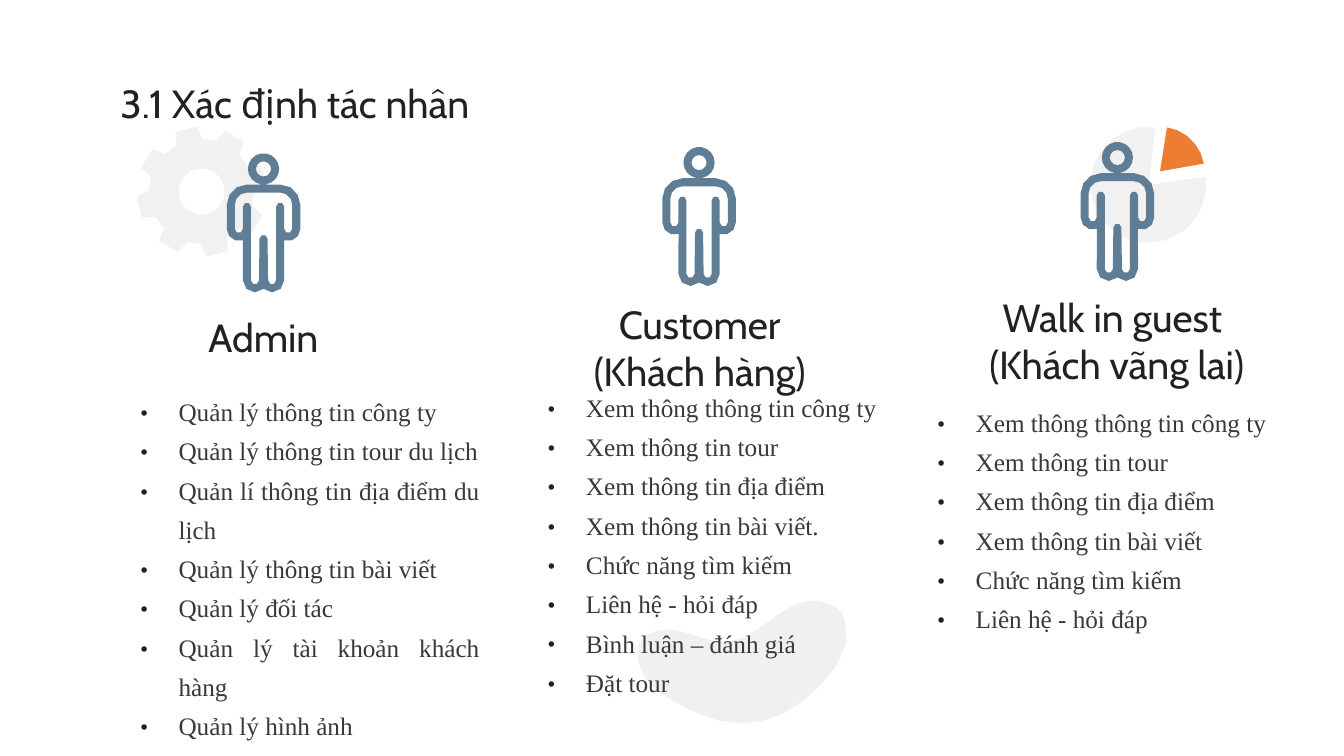
"""Build the slide of the three actors and what each may do."""
from dataclasses import dataclass
from math import ceil, cos, radians, sin

from lxml.etree import SubElement
from pptx import Presentation
from pptx.dml.color import RGBColor
from pptx.enum.text import MSO_ANCHOR, PP_ALIGN
from pptx.oxml.ns import qn
from pptx.util import Inches, Pt

Point = tuple[float, float]
Curve = list[Point]

COLS, ROWS = 160, 90
CELL = Inches(7.5) / ROWS
UNIT = 0.12
DARK, GREY, ORANGE, STEEL = "212121", "E0E0E0", "ED7D31", "5F7D95"

HEAD = {"size": Pt(28), "name": "Cabin"}
ITEM = {"size": Pt(18), "name": "Times New Roman"}
CENTER = {"alignment": PP_ALIGN.CENTER}
JUSTIFY = {"alignment": PP_ALIGN.JUSTIFY, "line_spacing": 1.3}


@dataclass
class Box:
    left: float
    top: float
    width: float
    height: float


@dataclass
class Actor:
    name: list[str]
    label: Box
    icon: Point
    tasks: list[str]
    area: Box


ACTORS = [
    Actor(["Admin"], Box(19.3, 36.7, 24.1, 6.7), (27, 18.25),
          ["Quản lý thông tin công ty", "Quản lý thông tin tour du lịch",
           "Quản lí thông tin địa điểm du lịch", "Quản lý thông tin bài viết",
           "Quản lý đối tác", "Quản lý tài khoản khách hàng",
           "Quản lý hình ảnh"],
          Box(16.7, 44.9, 40.4, 40.9)),
    Actor(["Customer", "(Khách hàng)"], Box(66.5, 36.85, 33.6, 9),
          (78.85, 17.5),
          ["Xem thông thông tin công ty", "Xem thông tin tour",
           "Xem thông tin địa điểm", "Xem thông tin bài viết.",
           "Chức năng tìm kiếm", "Liên hệ - hỏi đáp",
           "Bình luận – đánh giá", "Đặt tour"],
          Box(65.2, 44.4, 40.4, 40.9)),
    Actor(["Walk in guest ", "(Khách vãng lai)"], Box(111.6, 36, 42.7, 9),
          (128.65, 16.9),
          ["Xem thông thông tin công ty", "Xem thông tin tour",
           "Xem thông tin địa điểm", "Xem thông tin bài viết",
           "Chức năng tìm kiếm", "Liên hệ - hỏi đáp"],
          Box(111.6, 46.2, 41.4, 40.9)),
]

BLOB = [(186, 2), (179, 0), (172, 0), (166, 1), (151, 4), (139, 14), (128, 22),
        (116, 31), (103, 40), (88, 41), (77, 42), (60, 35), (44, 31),
        (27, 26), (7, 29), (1, 43), (-5, 61), (7, 80), (19, 89),
        (37, 102), (58, 113), (80, 119), (109, 126), (139, 119), (162, 101),
        (185, 83), (218, 49), (205, 18), (203, 10), (195, 5), (186, 2)]


def paint(text: str) -> RGBColor:
    return RGBColor.from_string(text)


def apply(target: object, values: dict) -> None:
    for key, value in values.items():
        setattr(target, key, value)


def arc(x: float, y: float, r: float, start: float, end: float,
        step: float = 30) -> Curve:
    count = ceil(abs(end - start) / step)
    turns = [radians(start + (end - start) * i / count)
             for i in range(count + 1)]
    return [(x + r * cos(t), y + r * sin(t)) for t in turns]


def ring(x: float, y: float, r: float) -> Curve:
    return arc(x, y, r, 0, 340, 20)


def bend(knots: Curve) -> Curve:
    out, steps = [knots[0]], 4
    for i in range(0, len(knots) - 1, 3):
        for j in range(1, steps + 1):
            t = j / steps
            parts = ((1 - t) ** 3, 3 * t * (1 - t) ** 2,
                     3 * t * t * (1 - t), t ** 3)
            out.append(tuple(sum(p * k[n] for p, k in zip(parts, knots[i:i + 4]))
                             for n in (0, 1)))
    return out


def mirror(half: Curve, axis: float) -> Curve:
    return half + [(2 * axis - x, y) for x, y in reversed(half)]


def place(curve: Curve, at: Point) -> Curve:
    return [(at[0] + x * UNIT, at[1] + y * UNIT) for x, y in curve]


def person(at: Point) -> list[Curve]:
    mid = 36.5
    outer = (arc(53, 51, 20, -90, 0) + arc(61, 75, 12, 0, 110, 40)
             + arc(45, 126, 12, 0, 135, 45))
    inner = (arc(53, 51, 12, -90, 0) + arc(61, 75, 4, 0, 180, 60)
             + arc(53, 53, 4, 0, -180, 60) + arc(45, 126, 4, 0, 180, 60)
             + arc(mid, 85, 4, 0, -60, 60))
    parts = [ring(mid, 15.5, 15.5), arc(mid, 15.5, 7.5, 0, 330),
             mirror(outer, mid), mirror(inner, mid)]
    return [place(part, at) for part in parts]


def gear(x: float, y: float) -> list[Curve]:
    teeth = []
    for i in range(8):
        for r, turn in ((6.25, -15), (7.75, -9.5), (7.75, 9.5), (6.25, 15)):
            a = radians(45 * i - 14 + turn)
            teeth.append((x + r * cos(a), y + r * sin(a)))
    return [teeth, ring(x, y, 2.75)]


def draw(slide, curves: list[Curve], color: str, alpha: int = 100) -> None:
    form = None
    for curve in curves:
        dots = [(x * CELL, y * CELL) for x, y in curve]
        if form is None:
            form = slide.shapes.build_freeform(*dots[0], scale=1.0)
        else:
            form.move_to(*dots[0])
        form.add_line_segments(dots[1:], close=True)
    shape = form.convert_to_shape()
    shape.shadow.inherit = False
    shape.line.fill.background()
    shape.fill.solid()
    shape.fill.fore_color.rgb = paint(color)
    if alpha < 100:
        fill = shape._element.spPr.find(qn("a:solidFill"))
        SubElement(fill[0], qn("a:alpha"), val=str(alpha * 1000))


def bullet(para) -> None:
    props = para._p.get_or_add_pPr()
    props.set("marL", str(Inches(0.38)))
    props.set("indent", str(-Inches(0.38)))
    tone = SubElement(props, qn("a:buClr"))
    SubElement(tone, qn("a:srgbClr"), val=DARK)
    SubElement(props, qn("a:buFont"), typeface="Cabin")
    SubElement(props, qn("a:buChar"), char="•")


def write(slide, box: Box, lines: list[str], font: dict, style: dict,
          color: str, pad: float, anchor=MSO_ANCHOR.TOP,
          dots: bool = False) -> None:
    spans = (box.left, box.top, box.width, box.height)
    frame = slide.shapes.add_textbox(*(round(n * CELL) for n in spans)).text_frame
    apply(frame, {"word_wrap": True, "vertical_anchor": anchor,
                  "margin_left": 0, "margin_right": 0,
                  "margin_top": Inches(pad), "margin_bottom": Inches(pad)})
    for i, line in enumerate(lines):
        para = frame.add_paragraph() if i else frame.paragraphs[0]
        if dots:
            bullet(para)
        apply(para, style)
        run = para.add_run()
        run.text = line
        apply(run.font, font)
        run.font.color.rgb = paint(color)


def main() -> None:
    deck = Presentation()
    apply(deck, {"slide_width": round(COLS * CELL),
                 "slide_height": round(ROWS * CELL)})
    slide = deck.slides.add_slide(deck.slide_layouts[6])
    draw(slide, [[(136.8, 22)] + arc(136.7, 22, 6.9, -8, 277, 15)], GREY, 45)
    draw(slide, [[(138.1, 20.4)] + arc(138.1, 20.4, 5.3, -81, -10, 15)], ORANGE)
    draw(slide, gear(24, 22.8), GREY, 45)
    draw(slide, [place(bend(BLOB), (75.95, 71.5))], GREY, 47)
    write(slide, Box(11.75, 8.5, 47.75, 7.9), ["3.1 Xác định tác nhân "],
          HEAD, CENTER | {"line_spacing": 0.9}, DARK, 0.13)
    for actor in ACTORS:
        write(slide, actor.label, actor.name, HEAD, CENTER, DARK, 0.13,
              MSO_ANCHOR.MIDDLE)
        draw(slide, person(actor.icon), STEEL)
        write(slide, actor.area, actor.tasks, ITEM, JUSTIFY, "3B3838", 0.1,
              dots=True)
    deck.save("out.pptx")


if __name__ == "__main__":
    main()
